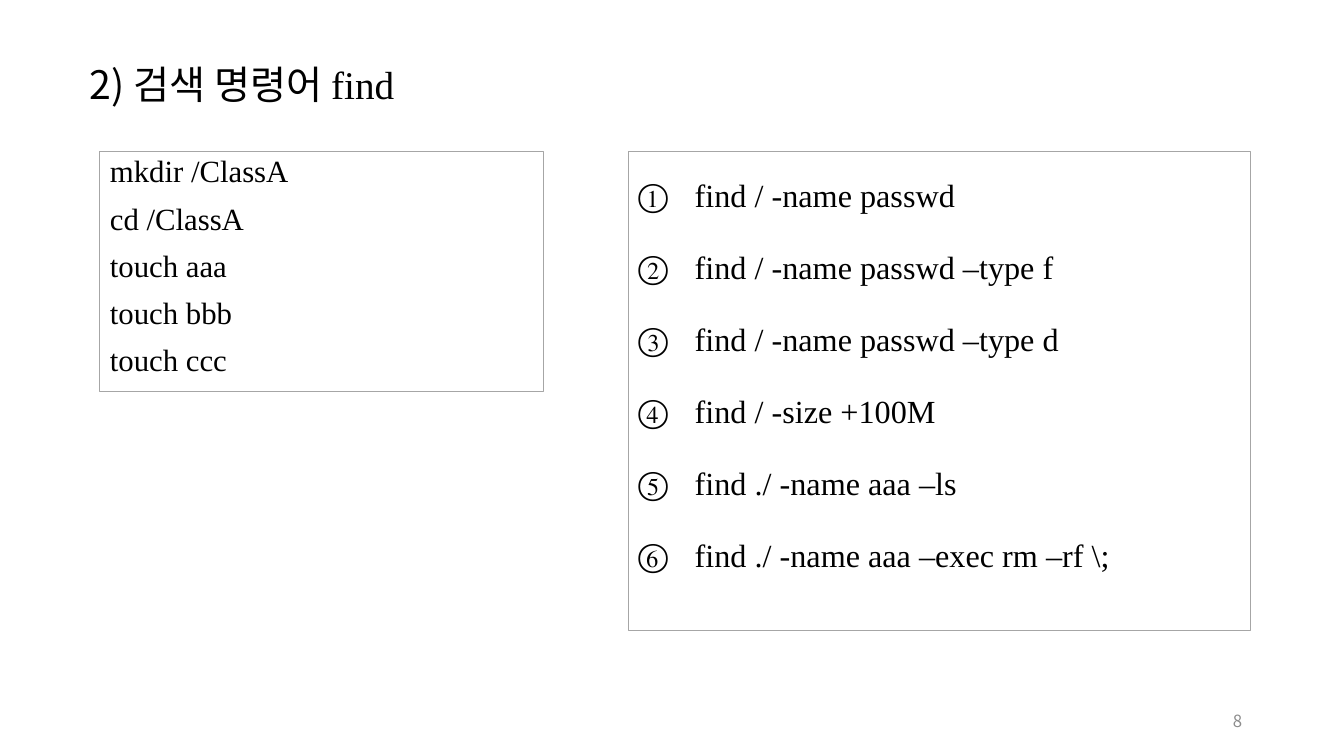
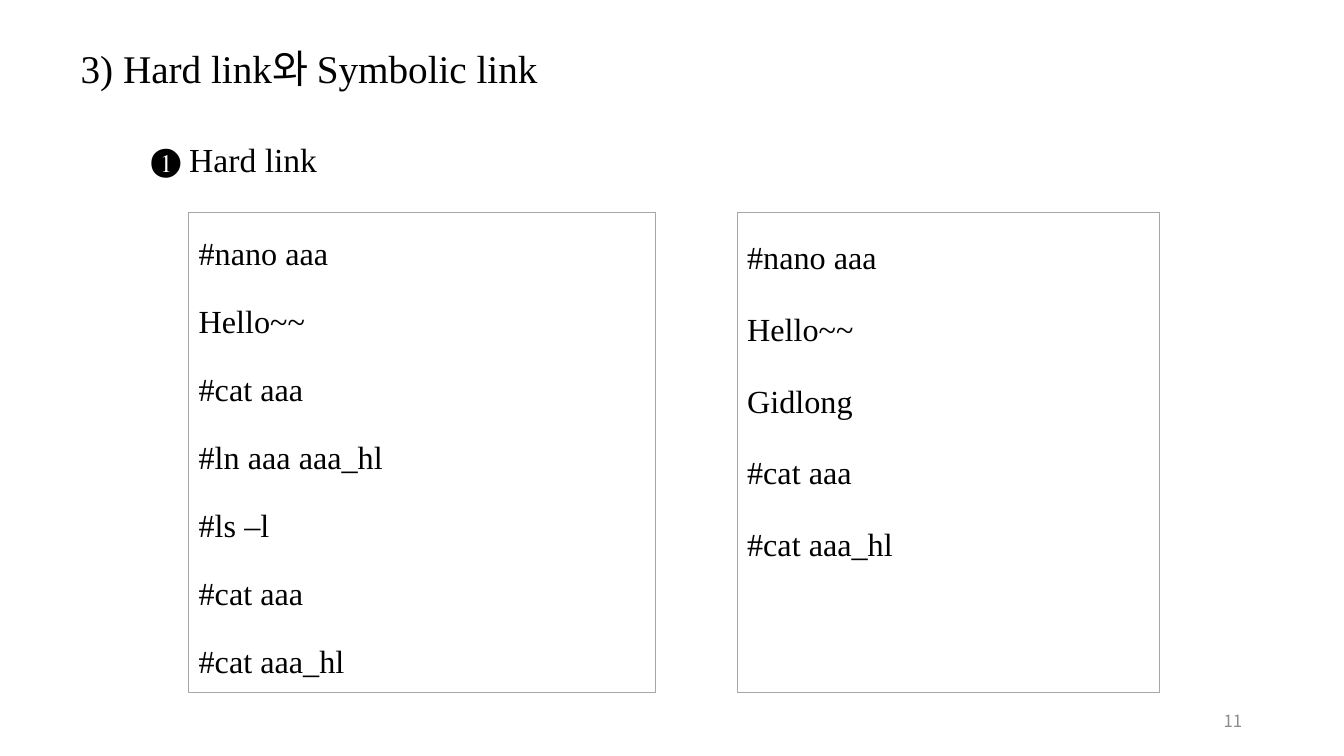
from lxml import etree
from pptx import Presentation
from pptx.dml.color import RGBColor
from pptx.enum import text as t
from pptx.oxml import ns
from pptx.util import Inches, Pt

BLACK = RGBColor(0x00, 0x00, 0x00)
WHITE = RGBColor(0xFF, 0xFF, 0xFF)
BORDER = RGBColor(0xA6, 0xA6, 0xA6)
GREY = RGBColor(0x8C, 0x8C, 0x8C)
LATIN = "Times New Roman"
KOREAN = "Noto Sans CJK KR"
TWO_CONTENT = 3


class Deck:
    """Shared style and the slide being built."""

    def __init__(self):
        self.prs = Presentation()
        self.prs.slide_width, self.prs.slide_height = Inches(13.33), Inches(7.5)
        self.slide = None

    def add_slide(self):
        layout = self.prs.slide_layouts[TWO_CONTENT]
        self.slide = self.prs.slides.add_slide(layout)
        self.slide.background.fill.solid()
        self.slide.background.fill.fore_color.rgb = WHITE

    def place(self, shape, box, **frame_format):
        shape.left, shape.top, shape.width, shape.height = map(Inches, box)
        frame_values = {"word_wrap": True, "auto_size": t.MSO_AUTO_SIZE.NONE,
                        "vertical_anchor": t.MSO_ANCHOR.TOP, **frame_format}
        for name, value in frame_values.items():
            setattr(shape.text_frame, name, value)
        return shape.text_frame

    def add_words(self, paragraph, words, size, face=LATIN, color=BLACK):
        run = paragraph.add_run()
        run.text = words
        for name, value in {"size": Pt(size), "name": face}.items():
            setattr(run.font, name, value)
        run.font.color.rgb = color
        east_asian = etree.SubElement(run.font._element, ns.qn("a:ea"))
        east_asian.set("typeface", face)

    def title(self, box, parts):
        heading = self.place(self.slide.shapes.title, box).paragraphs[0]
        heading.alignment = t.PP_ALIGN.LEFT
        for words, face in parts:
            self.add_words(heading, words, 28, face)

    def commands(self, slot, box, lines, size=23, spacing=1.5, numbered=False):
        """Fill a bordered body placeholder with one command a paragraph."""
        panel = self.slide.placeholders[slot]
        frame = self.place(panel, box)
        panel.line.color.rgb = BORDER
        panel.line.width = Pt(0.75)
        hang = Inches(0.56) if numbered else 0
        for index, command in enumerate(lines):
            paragraph = frame.add_paragraph() if index else frame.paragraphs[0]
            paragraph_format = {"line_spacing": spacing, "space_before": Pt(10),
                                "alignment": t.PP_ALIGN.LEFT}
            for name, value in paragraph_format.items():
                setattr(paragraph, name, value)
            props = paragraph._p.get_or_add_pPr()
            props.set("marL", str(hang))
            props.set("indent", str(-hang))
            if numbered:
                bullet = etree.SubElement(props, ns.qn("a:buAutoNum"))
                bullet.set("type", "circleNumDbPlain")
            else:
                etree.SubElement(props, ns.qn("a:buNone"))
            self.add_words(paragraph, command, size)

    def label(self, box, words, size, face=LATIN, color=BLACK,
              align=t.PP_ALIGN.LEFT, **frame_format):
        text_box = self.slide.shapes.add_textbox(*map(Inches, box))
        paragraph = self.place(text_box, box, **frame_format).paragraphs[0]
        paragraph.alignment = align
        self.add_words(paragraph, words, size, face, color)

    def page_number(self, number):
        self.label((9.42, 6.95, 3, 0.4), str(number), 12, KOREAN, GREY,
                   t.PP_ALIGN.RIGHT, vertical_anchor=t.MSO_ANCHOR.MIDDLE)


def main():
    deck = Deck()

    # The find command
    deck.add_slide()
    deck.title((0.79, 0.55, 3.67, 0.57),
               [("2) 검색 명령어 ", KOREAN), ("find", LATIN)])
    deck.commands(1, (0.99, 1.5, 4.4, 2.38),
                  ["mkdir /ClassA", "cd /ClassA", "touch aaa", "touch bbb",
                   "touch ccc"], size=22, spacing=0.9)
    deck.commands(2, (6.23, 1.5, 6.17, 4.76),
                  ["find / -name passwd", "find / -name passwd –type f",
                   "find / -name passwd –type d", "find / -size +100M",
                   "find ./ -name aaa –ls",
                   "find ./ -name aaa –exec rm –rf \\;"], numbered=True)
    deck.page_number(8)

    # Hard links
    deck.add_slide()
    deck.title((0.7, 0.39, 4.93, 0.57),
               [("3) Hard link", LATIN), ("와 ", KOREAN),
                ("Symbolic link", LATIN)])
    deck.commands(1, (1.87, 2.11, 4.63, 4.76),
                  ["#nano aaa", "Hello~~", "#cat aaa", "#ln aaa aaa_hl",
                   "#ls –l", "#cat aaa", "#cat aaa_hl"], spacing=1.4)
    deck.commands(2, (7.31, 2.11, 4.19, 4.76),
                  ["#nano aaa", "Hello~~", "Gidlong", "#cat aaa",
                   "#cat aaa_hl"])
    deck.label((1.4, 1.33, 1.98, 0.5), "❶ Hard link", 24, word_wrap=False)
    deck.page_number(11)

    deck.prs.save("out.pptx")


if __name__ == "__main__":
    main()
